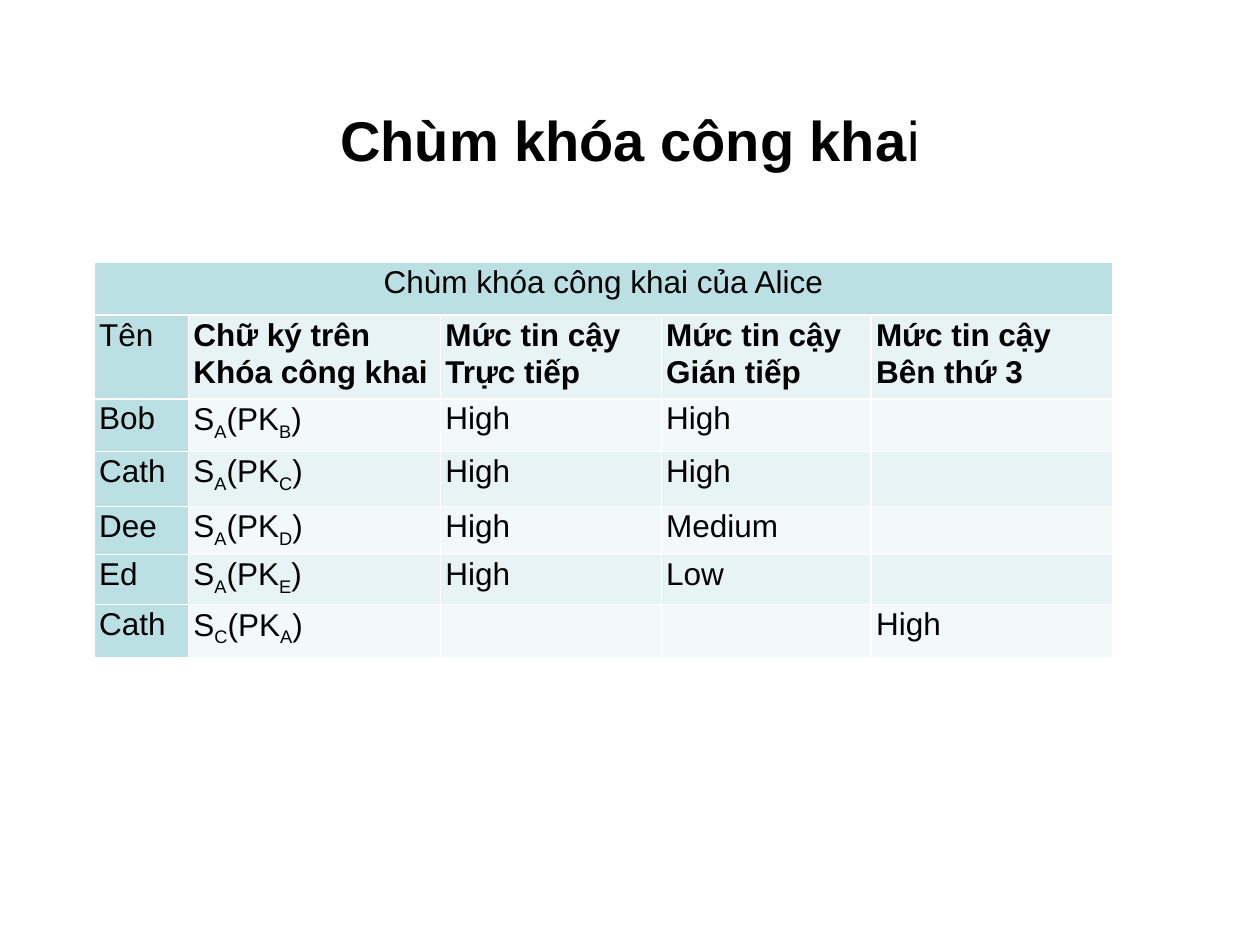
"""Build a slide with a table of a public key ring and its trust levels."""
from lxml import etree
from pptx import Presentation
from pptx.dml.color import RGBColor
from pptx.enum.text import MSO_ANCHOR, PP_ALIGN
from pptx.oxml.ns import qn
from pptx.util import Cm, Pt

CENTER, LEFT = PP_ALIGN.CENTER, PP_ALIGN.LEFT
MIDDLE = MSO_ANCHOR.MIDDLE

BLACK = RGBColor(0x00, 0x00, 0x00)
WHITE = RGBColor(0xFF, 0xFF, 0xFF)
TEAL = RGBColor(0xBB, 0xE0, 0xE3)
LIGHT_TEAL = RGBColor(0xE7, 0xF3, 0xF4)
PALE_TEAL = RGBColor(0xF3, 0xF9, 0xFA)
FONT = "Arial"

TITLE = [("Chùm khóa công kha", True), ("i", False)]
CAPTION = "Chùm khóa công khai của Alice"
HEADINGS = [
    "Tên",
    "Chữ ký trên Khóa công khai",
    "Mức tin cậy Trực tiếp",
    "Mức tin cậy Gián tiếp",
    "Mức tin cậy\nBên thứ 3",
]
KEYS = [
    ("Bob", ("A", "B"), "High", "High", ""),
    ("Cath", ("A", "C"), "High", "High", ""),
    ("Dee", ("A", "D"), "High", "Medium", ""),
    ("Ed", ("A", "E"), "High", "Low", ""),
    ("Cath", ("C", "A"), "", "", "High"),
]
COLUMN_WIDTHS = [1.9, 5.08, 4.45, 4.23, 4.87]
ROW_HEIGHTS = [1.06, 1.69, 1.06, 1.11, 0.97, 1.01, 1.06]


def set_font(paragraph, size, bold=None):
    font = paragraph.font
    font.name, font.size, font.bold = FONT, Pt(size), bold
    font.color.rgb = BLACK


def add_borders(cell):
    properties = cell._tc.get_or_add_tcPr()
    for side in ("lnL", "lnR", "lnT", "lnB"):
        line = etree.SubElement(properties, qn(f"a:{side}"), w=str(Pt(1)))
        fill = etree.SubElement(line, qn("a:solidFill"))
        etree.SubElement(fill, qn("a:srgbClr"), val=str(WHITE))


def write_signature(paragraph, signer, owner):
    for text, lowered in (("S", False), (signer, True), ("(PK", False),
                          (owner, True), (")", False)):
        run = paragraph.add_run()
        run.text = text
        if lowered:
            run._r.get_or_add_rPr().set("baseline", "-25000")


def fill_cell(cell, content, color, bold=False, align=LEFT):
    add_borders(cell)
    cell.fill.solid()
    cell.fill.fore_color.rgb = color
    cell.margin_left = cell.margin_right = Cm(0.1)
    cell.margin_top = cell.margin_bottom = 0
    if isinstance(content, tuple):
        write_signature(cell.text_frame.paragraphs[0], *content)
    else:
        cell.text = content
    for paragraph in cell.text_frame.paragraphs:
        paragraph.alignment = align
        paragraph.line_spacing = 1.07
        set_font(paragraph, 18, bold)


def add_title(slide):
    title = slide.shapes.title
    title.left, title.top = Cm(1.27), Cm(1.9)
    title.width, title.height = Cm(22.86), Cm(1.8)
    title.text_frame.vertical_anchor = MIDDLE
    heading = title.text_frame.paragraphs[0]
    heading.alignment = CENTER
    set_font(heading, 32)
    for text, bold in TITLE:
        run = heading.add_run()
        run.text, run.font.bold = text, bold


def add_key_ring(slide):
    key_ring = slide.shapes.add_table(
        len(ROW_HEIGHTS), len(COLUMN_WIDTHS), Cm(1.9), Cm(5.29),
        Cm(sum(COLUMN_WIDTHS)), Cm(sum(ROW_HEIGHTS))).table
    key_ring.first_row = key_ring.horz_banding = False
    for column, width in zip(key_ring.columns, COLUMN_WIDTHS):
        column.width = Cm(width)
    for row, height in zip(key_ring.rows, ROW_HEIGHTS):
        row.height = Cm(height)

    caption = key_ring.cell(0, 0)
    caption.merge(key_ring.cell(0, len(COLUMN_WIDTHS) - 1))
    fill_cell(caption, CAPTION, TEAL, align=CENTER)
    for r, entries in enumerate([HEADINGS, *KEYS], start=1):
        band = LIGHT_TEAL if r % 2 else PALE_TEAL
        for c, content in enumerate(entries):
            fill_cell(key_ring.cell(r, c), content, band if c else TEAL,
                      bold=r == 1 and c > 0)


def main():
    presentation = Presentation()
    presentation.slide_width, presentation.slide_height = Cm(25.4), Cm(19.05)
    slide = presentation.slides.add_slide(presentation.slide_layouts[5])
    add_title(slide)
    add_key_ring(slide)
    presentation.save("out.pptx")


if __name__ == "__main__":
    main()
